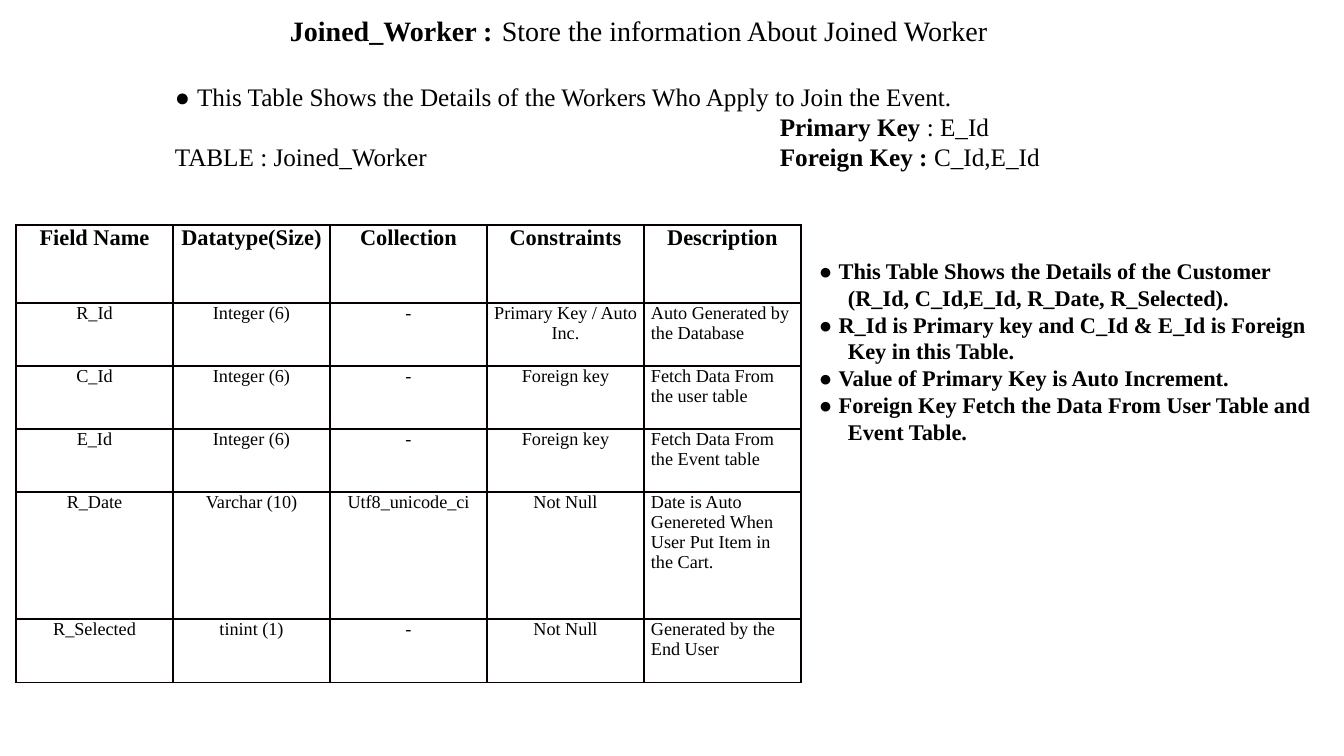
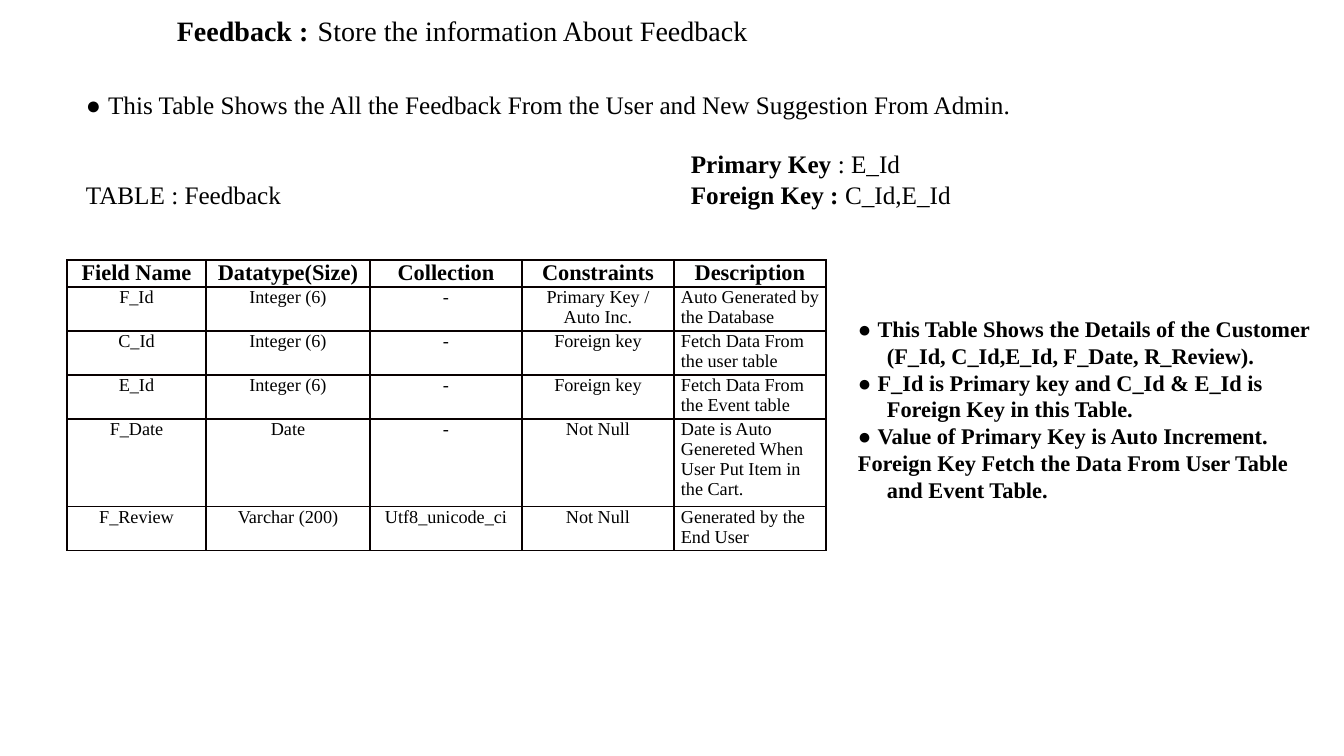
from pptx import Presentation
from pptx.dml.color import RGBColor
from pptx.enum.text import MSO_AUTO_SIZE as Fit, PP_ALIGN as Align
from pptx.oxml.ns import qn
from pptx.util import Pt
from lxml.etree import SubElement as Sub, Element

PX = 914400 / 100.8
SERIF, SANS = "Times New Roman", "Arial"
INK, RULE = "000000", "080000"
HEADS = ["Field Name", "Datatype(Size)", "Collection", "Constraints", "Description"]
KEYS = [
    ["C_Id", "Integer (6)", "-", "Foreign key", "Fetch Data From the user table"],
    ["E_Id", "Integer (6)", "-", "Foreign key", "Fetch Data From the Event table"],
]
AUTO = ["Integer (6)", "-", "Primary Key / Auto Inc.", "Auto Generated by the Database"]
DATED = ["Not Null", "Date is Auto Genereted When User Put Item in the Cart."]
ENDED = ["Not Null", "Generated by the End User"]


def emu(px):
    return round(px * PX)


def tint(code):
    return RGBColor.from_string(code)


class Deck:
    def __init__(self):
        self.prs = Presentation()
        self.prs.slide_width, self.prs.slide_height = emu(1344), emu(756)
        self.slide = None

    def page(self):
        self.slide = self.prs.slides.add_slide(self.prs.slide_layouts[6])

    def run(self, para, text, size, bold=False, face=SERIF):
        run = para.add_run()
        run.text = text
        font = run.font
        font.name, font.size, font.bold = face, Pt(size), bold
        font.color.rgb = tint(INK)

    def dot(self, para, size, bold=False):
        self.run(para, "● ", size, bold, SANS)

    def box(self, area, count):
        """Add a text box and return its empty paragraphs."""
        frame = self.slide.shapes.add_textbox(*map(emu, area)).text_frame
        frame.word_wrap = True
        frame.auto_size = Fit.SHAPE_TO_FIT_TEXT
        for _ in range(count - 1):
            frame.add_paragraph()
        return frame.paragraphs

    def title(self, area, name, text):
        para, = self.box(area, 1)
        self.run(para, f"{name} :", 20, True)
        self.run(para, " ", 26, True)
        self.run(para, text, 20)

    def intro(self, area, text, name, gap=0):
        """State the table's purpose, name and keys, keys at a tab stop."""
        lead, first, last = self.box(area, 3)
        self.dot(lead, 18)
        self.run(lead, text, 18)
        first.space_before = Pt(gap)
        for para in (first, last):
            tabs = Sub(para._p.get_or_add_pPr(), qn("a:tabLst"))
            Sub(tabs, qn("a:tab"), pos=str(emu(605)), algn="l")
        self.run(first, "\tPrimary Key", 18, True)
        self.run(first, " : E_Id", 18)
        self.run(last, f"TABLE : {name}\t", 18)
        self.run(last, "Foreign Key : ", 18, True)
        self.run(last, "C_Id,E_Id", 18)

    def edge(self, cell):
        props = cell._tc.get_or_add_tcPr()
        for spot, side in enumerate("LRTB"):
            line = Element(qn(f"a:ln{side}"), w=str(Pt(1)))
            Sub(Sub(line, qn("a:solidFill")), qn("a:srgbClr"), val=RULE)
            props.insert(spot, line)

    def grid(self, left, top, cols, rows, data):
        shape = self.slide.shapes.add_table(
            len(rows), len(cols), *map(emu, (left, top, sum(cols), sum(rows))))
        table = shape.table
        table.first_row = table.horz_banding = False
        for col, wide in zip(table.columns, cols):
            col.width = emu(wide)
        for row, high in zip(table.rows, rows):
            row.height = emu(high)
        for r, line in enumerate([HEADS] + data):
            for c, text in enumerate(line):
                cell = table.cell(r, c)
                cell.margin_left = cell.margin_right = emu(7)
                cell.margin_top = cell.margin_bottom = 0
                cell.fill.background()
                self.edge(cell)
                para = cell.text_frame.paragraphs[0]
                head = r == 0
                para.alignment = Align.CENTER if head or c < 4 else Align.LEFT
                self.run(para, text, 16 if head else 13, head)

    def notes(self, area, lines, dots):
        """List bold remarks; the first ones, dots in number, get a bullet."""
        for i, (para, text) in enumerate(zip(self.box(area, len(lines)), lines)):
            props = para._p.get_or_add_pPr()
            props.set("marL", str(emu(29)))
            props.set("indent", str(-emu(29)))
            if i < dots:
                self.dot(para, 16, True)
            self.run(para, text, 16, True)


def remarks(key, fields):
    return [
        f"This Table Shows the Details of the Customer ({fields}).",
        f"{key} is Primary key and C_Id & E_Id is Foreign Key in this Table.",
        "Value of Primary Key is Auto Increment.",
        "Foreign Key Fetch the Data From User Table and Event Table.",
    ]


def main():
    deck = Deck()

    deck.page()
    deck.title((280, 0, 786, 54), "Joined_Worker",
               "Store the information About Joined Worker")
    deck.intro((165, 76, 936, 102),
               "This Table Shows the Details of the Workers Who Apply to Join the Event.",
               "Joined_Worker")
    deck.grid(16, 225, [157] * 5, [78, 63, 63, 63, 127, 64], [
        ["R_Id", *AUTO],
        *KEYS,
        ["R_Date", "Varchar (10)", "Utf8_unicode_ci", *DATED],
        ["R_Selected", "tinint (1)", "-", *ENDED],
    ])
    deck.notes((809, 252, 525, 200),
               remarks("R_Id", "R_Id, C_Id,E_Id, R_Date, R_Selected"), 4)

    deck.page()
    deck.title((167, 0, 749, 54), "Feedback", "Store the information About Feedback")
    deck.intro((76, 84, 966, 132),
               "This Table Shows the All the Feedback From the User and "
               "New Suggestion From Admin.", "Feedback", 21)
    deck.grid(67, 260, [139, 164, 152, 152, 152], [27, 44, 44, 44, 88, 44], [
        ["F_Id", *AUTO],
        *KEYS,
        ["F_Date", "Date", "-", *DATED],
        ["F_Review", "Varchar (200)", "Utf8_unicode_ci", *ENDED],
    ])
    deck.notes((848, 310, 480, 227),
               remarks("F_Id", "F_Id, C_Id,E_Id, F_Date, R_Review"), 3)

    deck.prs.save("out.pptx")


if __name__ == "__main__":
    main()
